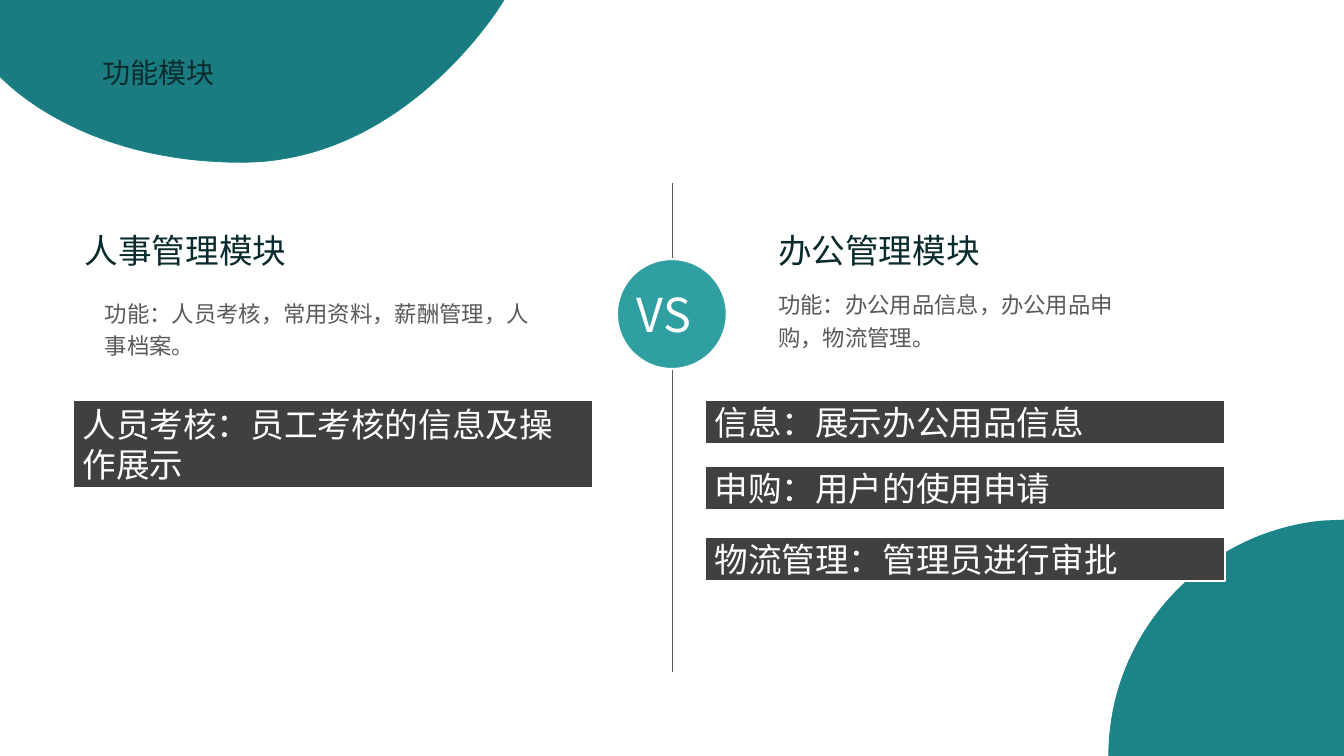
from dataclasses import dataclass

from lxml import etree
from pptx import Presentation
from pptx.dml.color import RGBColor
from pptx.enum.shapes import MSO_CONNECTOR, MSO_SHAPE
from pptx.enum.text import MSO_ANCHOR, MSO_AUTO_SIZE, PP_ALIGN
from pptx.oxml.ns import qn
from pptx.util import Pt

STRAIGHT = MSO_CONNECTOR.STRAIGHT
OVAL, RECTANGLE = MSO_SHAPE.OVAL, MSO_SHAPE.RECTANGLE
TOP, MIDDLE = MSO_ANCHOR.TOP, MSO_ANCHOR.MIDDLE
FIT_SHAPE, NO_FIT = MSO_AUTO_SIZE.SHAPE_TO_FIT_TEXT, MSO_AUTO_SIZE.NONE
LEFT = PP_ALIGN.LEFT

Point = tuple[float, float]
Curve = tuple[Point, Point, Point]


@dataclass(frozen=True)
class Theme:
    font: str = "Noto Sans CJK SC"
    dark_teal: str = "1A7B80"
    teal: str = "1C8388"
    light_teal: str = "309FA2"
    ink: str = "092B2D"
    grey: str = "595959"
    charcoal: str = "404040"
    white: str = "FFFFFF"
    title_size: float = 20
    heading_size: float = 24
    body_size: float = 16
    badge_size: float = 33.4


@dataclass(frozen=True)
class Label:
    text: str
    left: float
    top: float
    width: float
    height: float
    size: float
    color: str
    inset: Point = (8.64, 4.32)
    spacing: float = 1.0
    wrap: bool = True


@dataclass(frozen=True)
class Bar:
    text: str
    left: float
    top: float
    height: float = 31.5


@dataclass(frozen=True)
class Blob:
    corners: list[Point]
    curves: list[Curve]
    fill: str


THEME = Theme()
BAR_WIDTH = 371.5
LEFT_BAR, RIGHT_BAR = 51.84, 503.28
DIVIDER_X = 480.24
RIGHT_COLUMN = 547.2
CURVE_STEPS = 40
UNITS_PER_POINT = 100

BLOBS = [
    Blob([(0, 54.72), (0, 0), (360, 0)],
         [((360, 0), (291.6, 115.92), (172.8, 115.92)),
          ((54, 115.92), (0.72, 54.72), (0, 54.72))], THEME.dark_teal),
    Blob([(960, 371.52), (960, 540), (792, 540)],
         [((792, 452.88), (858.96, 380.88), (943.92, 372.24))], THEME.teal),
]
TITLE = Label("功能模块", 66.24, 36, 94.32, 31.68, THEME.title_size, THEME.ink,
              inset=(7.2, 3.6), wrap=False)
BADGE = Label("VS", 447.84, 200.88, 55.44, 47.52, THEME.badge_size, THEME.white,
              inset=(7.2, 3.6), wrap=False)
COLUMN_LABELS = [
    Label("人事管理模块", 51.84, 159.84, 347, 37.44, THEME.heading_size, THEME.ink),
    Label("功能：人员考核，常用资料，薪酬管理，人事档案。", 66.24, 205.92, 333.36, 54.72,
          THEME.body_size, THEME.grey, spacing=1.2),
    Label("办公管理模块", RIGHT_COLUMN, 159.84, 172.8, 37.44, THEME.heading_size, THEME.ink),
    Label("功能：办公用品信息，办公用品申购，物流管理。", RIGHT_COLUMN, 200.16, 257.76, 54.72,
          THEME.body_size, THEME.grey, spacing=1.2),
]
BARS = [
    Bar("人员考核：员工考核的信息及操作展示", LEFT_BAR, 285.84, 62.64),
    Bar("信息：展示办公用品信息", RIGHT_BAR, 285.84),
    Bar("申购：用户的使用申请", RIGHT_BAR, 332.64),
    Bar("物流管理：管理员进行审批", RIGHT_BAR, 383.76),
]


def paint(shape, fill: str, line: str, line_width: float) -> None:
    shape.shadow.inherit = False
    shape.fill.solid()
    shape.fill.fore_color.rgb = RGBColor.from_string(fill)
    shape.line.color.rgb = RGBColor.from_string(line)
    shape.line.width = Pt(line_width)


def write(frame, text: str, size: float, color: str, spacing: float = 1.0) -> None:
    para = frame.paragraphs[0]
    para.alignment = LEFT
    para.line_spacing = spacing
    span = para.add_run()
    span.text = text
    span.font.size = Pt(size)
    span.font.name = THEME.font
    span.font.color.rgb = RGBColor.from_string(color)
    # East Asian characters take their own typeface entry
    east_asian = etree.SubElement(span.font._element, qn("a:ea"))
    east_asian.set("typeface", THEME.font)


def curve_points(start: Point, curve: Curve) -> list[Point]:
    """Points along a cubic curve, without its start."""
    controls = (start, *curve)
    points = []
    for step in range(1, CURVE_STEPS + 1):
        t = step / CURVE_STEPS
        weights = ((1 - t) ** 3, 3 * t * (1 - t) ** 2, 3 * t * t * (1 - t), t ** 3)
        x, y = (sum(w * point[axis] for w, point in zip(weights, controls))
                for axis in (0, 1))
        points.append((x, y))
    return points


def draw_blob(shapes, blob: Blob) -> None:
    outline = list(blob.corners)
    for curve in blob.curves:
        outline += curve_points(outline[-1], curve)
    units = [(x * UNITS_PER_POINT, y * UNITS_PER_POINT) for x, y in outline]
    builder = shapes.build_freeform(*units[0], scale=Pt(1) / UNITS_PER_POINT)
    builder.add_line_segments(units[1:], close=True)
    paint(builder.convert_to_shape(), blob.fill, THEME.teal, 0.6)


def draw_label(shapes, label: Label) -> None:
    box = shapes.add_textbox(Pt(label.left), Pt(label.top), Pt(label.width), Pt(label.height))
    frame = box.text_frame
    frame.word_wrap = label.wrap
    frame.auto_size = FIT_SHAPE
    frame.vertical_anchor = TOP
    frame.margin_left = frame.margin_right = Pt(label.inset[0])
    frame.margin_top = frame.margin_bottom = Pt(label.inset[1])
    write(frame, label.text, label.size, label.color, label.spacing)


def draw_bar(shapes, bar: Bar) -> None:
    box = shapes.add_shape(RECTANGLE, Pt(bar.left), Pt(bar.top), Pt(BAR_WIDTH), Pt(bar.height))
    paint(box, THEME.charcoal, THEME.white, 1.5)
    frame = box.text_frame
    frame.word_wrap = True
    frame.auto_size = NO_FIT
    frame.vertical_anchor = MIDDLE
    write(frame, bar.text, THEME.heading_size, THEME.white)


def draw_divider(shapes) -> None:
    divider = shapes.add_connector(STRAIGHT, Pt(DIVIDER_X), Pt(131.04),
                                   Pt(DIVIDER_X), Pt(480.24))
    divider.line.color.rgb = RGBColor.from_string(THEME.grey)
    divider.line.width = Pt(0.5)
    etree.SubElement(divider._element.spPr, qn("a:effectLst"))


def draw_badge(shapes) -> None:
    group = shapes.add_group_shape()
    circle = group.shapes.add_shape(OVAL, Pt(440.64), Pt(185.04), Pt(78.48), Pt(78.48))
    paint(circle, THEME.light_teal, THEME.white, 1.5)
    draw_label(group.shapes, BADGE)


def main() -> None:
    deck = Presentation()
    deck.slide_width, deck.slide_height = Pt(960), Pt(540)
    page = deck.slides.add_slide(deck.slide_layouts[6])
    shapes = page.shapes

    # Corner decoration and title
    for blob in BLOBS:
        draw_blob(shapes, blob)
    draw_label(shapes, TITLE)

    # Divider with its badge
    draw_divider(shapes)
    draw_badge(shapes)

    # The two module columns
    for label in COLUMN_LABELS:
        draw_label(shapes, label)
    for bar in BARS:
        draw_bar(shapes, bar)

    deck.save("out.pptx")


if __name__ == "__main__":
    main()
